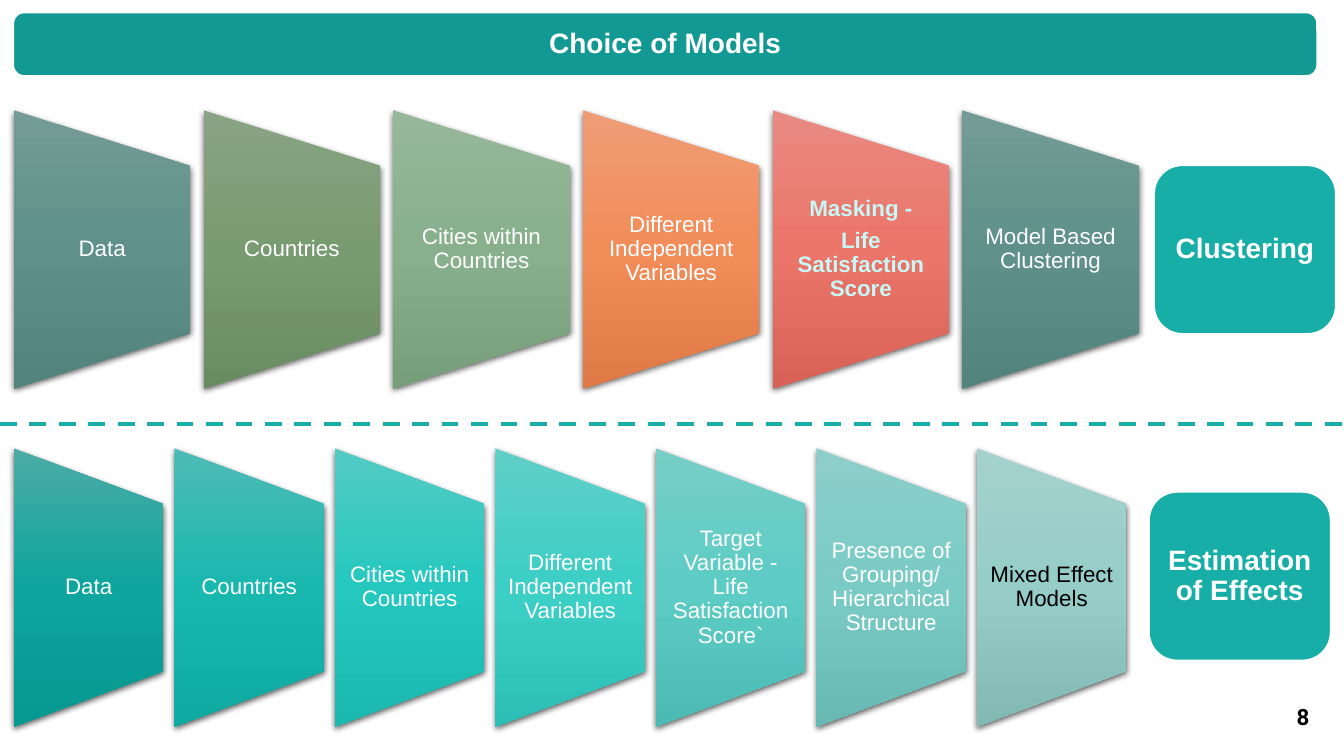
import pptx
import pptx.dml.color
import pptx.enum.dml
import pptx.enum.shapes
import pptx.enum.text
import pptx.oxml
import pptx.oxml.ns
import pptx.util

Cm = pptx.util.Cm
Pt = pptx.util.Pt
SHAPES = pptx.enum.shapes.MSO_SHAPE
ALIGN = pptx.enum.text.PP_ALIGN

WHITE = "FFFFFF"
TEAL = "16AEA7"
SLATE = ("749C96", "5F918A", "52837C")

# Each step: lines of text, gradient from top to bottom, text colour, bold
CLUSTERING_STEPS = [
    (["Data"], SLATE, WHITE, False),
    (["Countries"], ("89A484", "799B71", "6A8C62"), WHITE, False),
    (["Cities within Countries"], ("97B79B", "88B08D", "779E7B"), WHITE, False),
    (["Different Independent Variables"], ("EF9C76", "F28D59", "DF7A47"), WHITE, False),
    (["Masking -", "Life Satisfaction Score"], ("E98A82", "EB7569", "D86256"), "C7F8F6", True),
    (["Model Based Clustering"], SLATE, WHITE, False),
]
EFFECT_STEPS = [
    (["Data"], ("4CABA5", "0DA59E", "059992"), WHITE, False),
    (["Countries"], ("4FBBB5", "18B8AF", "0FAAA2"), WHITE, False),
    (["Cities within Countries"], ("53CBC3", "25C8BF", "1AB8AF"), WHITE, False),
    (["Different Independent Variables"], ("60CFC7", "3BCFC6", "2DBFB6"), WHITE, False),
    (["Target Variable - Life Satisfaction Score`"], ("76CEC7", "5CCCC5", "4CBBB4"), WHITE, False),
    (["Presence of Grouping/ Hierarchical Structure"], ("8DCECA", "7ACBC6", "68B9B3"), WHITE, False),
    (["Mixed Effect Models"], ("A4D1CE", "96CDC9", "82B9B5"), "000000", False),
]


def color(hex_string):
    return pptx.dml.color.RGBColor.from_string(hex_string)


def write(shape, lines, size, text_color, bold, inset=(0.2, 0.2),
          font="Arial", align=ALIGN.CENTER, spacing=0.9):
    """Fill a shape with vertically centred paragraphs."""
    frame = shape.text_frame
    frame.word_wrap = True
    frame.auto_size = pptx.enum.text.MSO_AUTO_SIZE.NONE
    frame.vertical_anchor = pptx.enum.text.MSO_ANCHOR.MIDDLE
    frame.margin_left = frame.margin_right = Cm(inset[0])
    frame.margin_top = frame.margin_bottom = Cm(inset[1])
    frame.text = "\n".join(lines)
    for paragraph in frame.paragraphs:
        paragraph.alignment = align
        paragraph.line_spacing = spacing
        paragraph.space_before = Pt(0)
        paragraph.space_after = Pt(0.35 * size)
        paragraph.font.name = font
        paragraph.font.size = Pt(size)
        paragraph.font.bold = bold
        paragraph.font.color.rgb = color(text_color)
    frame.paragraphs[-1].space_after = Pt(0)


def add_panel(slide, left, top, width, height, fill):
    """Rounded rectangle with a thin white outline."""
    panel = slide.shapes.add_shape(
        SHAPES.ROUNDED_RECTANGLE, Cm(left), Cm(top), Cm(width), Cm(height))
    panel.shadow.inherit = False
    panel.fill.solid()
    panel.fill.fore_color.rgb = color(fill)
    panel.line.color.rgb = color(WHITE)
    panel.line.width = Pt(1)
    return panel


def add_title(slide, left, top, width, height):
    add_panel(slide, left, top, width, height, "139993")
    title = slide.shapes.title
    title.left, title.top = Cm(left), Cm(top)
    title.width, title.height = Cm(width), Cm(height)
    write(title, ["Choice of Models"], 20, WHITE, True)
    # Bring the title in front of its bar
    slide.shapes.element.append(title.element)


def style_step(shape, gradient):
    """Vertical gradient and soft shadow that ignore the shape's rotation."""
    namespace = pptx.oxml.ns.nsdecls("a")
    stops = "".join(
        f'<a:gs pos="{index * 50000}"><a:srgbClr val="{stop}"/></a:gs>'
        for index, stop in enumerate(gradient))
    properties = shape.element.spPr
    properties.insert(2, pptx.oxml.parse_xml(
        f'<a:gradFill {namespace} rotWithShape="0"><a:gsLst>{stops}</a:gsLst>'
        '<a:lin ang="5400000" scaled="0"/></a:gradFill>'))
    shape.line.fill.background()
    properties.append(pptx.oxml.parse_xml(
        f'<a:effectLst {namespace}><a:outerShdw blurRad="57150" dist="19050" '
        'dir="5400000" algn="ctr" rotWithShape="0"><a:srgbClr val="000000">'
        '<a:alpha val="63000"/></a:srgbClr></a:outerShdw></a:effectLst>'))


def add_steps(slide, left, top, step_width, height, pitch, steps):
    """Row of trapezoids, each with its label in the middle."""
    for index, (lines, gradient, text_color, bold) in enumerate(steps):
        step_left = left + index * pitch
        # The preset is turned a quarter, so its width and height swap
        shift = (height - step_width) / 2
        step = slide.shapes.add_shape(
            SHAPES.FLOWCHART_MANUAL_OPERATION, Cm(step_left - shift),
            Cm(top + shift), Cm(height), Cm(step_width))
        step.rotation = 270
        style_step(step, gradient)
        label = slide.shapes.add_textbox(
            Cm(step_left), Cm(top + 0.2 * height), Cm(step_width), Cm(0.6 * height))
        write(label, lines, 16, text_color, bold, inset=(0.28, 0))


def add_result(slide, left, top, width, height, text):
    card = add_panel(slide, left, top, width, height, TEAL)
    # The rounded corners already inset the text area
    write(card, [text], 20, WHITE, True, inset=(0.1, 0.1))


def add_divider(slide, top, width):
    divider = slide.shapes.add_connector(
        pptx.enum.shapes.MSO_CONNECTOR.STRAIGHT, 0, Cm(top), width, Cm(top))
    divider.line.color.rgb = color(TEAL)
    divider.line.width = Pt(3)
    divider.line.dash_style = pptx.enum.dml.MSO_LINE.DASH
    divider.element.spPr.append(pptx.oxml.parse_xml(
        f'<a:effectLst {pptx.oxml.ns.nsdecls("a")}/>'))


def add_page_number(slide, left, top, width, height):
    number = slide.shapes.add_textbox(Cm(left), Cm(top), Cm(width), Cm(height))
    write(number, ["8"], 16, "000000", True, inset=(0.25, 0.13),
          font="Roboto", align=ALIGN.RIGHT, spacing=1.0)


def main():
    presentation = pptx.Presentation()
    presentation.slide_width = Cm(33.87)
    presentation.slide_height = Cm(19.05)
    slide = presentation.slides.add_slide(presentation.slide_layouts[5])

    add_title(slide, 0.34, 0.32, 32.85, 1.59)
    # Lower row: estimation of effects
    add_steps(slide, 0.35, 11.3, 3.77, 7.01, 4.045, EFFECT_STEPS)
    add_result(slide, 28.96, 12.4, 4.57, 4.24, "Estimation of Effects")
    # Upper row: clustering
    add_steps(slide, 0.35, 2.78, 4.45, 7.01, 4.78, CLUSTERING_STEPS)
    add_result(slide, 29.09, 4.17, 4.57, 4.24, "Clustering")
    add_divider(slide, 10.69, presentation.slide_width)
    add_page_number(slide, 31.55, 17.55, 1.7, 1.02)

    presentation.save("out.pptx")


if __name__ == "__main__":
    main()
